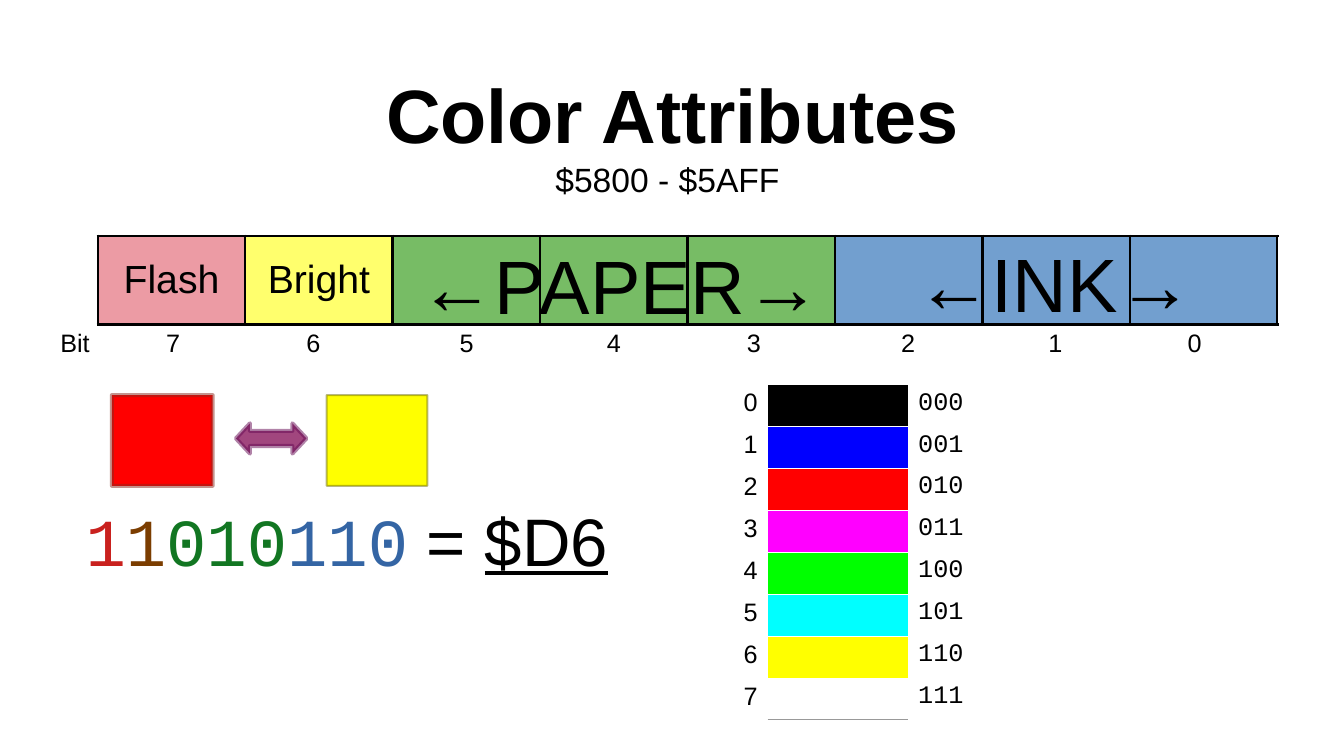
from dataclasses import dataclass

from lxml import etree
from pptx import Presentation
from pptx.dml.color import RGBColor
from pptx.enum import shapes, text
from pptx.oxml import ns
from pptx.util import Inches, Pt


@dataclass(frozen=True)
class Theme:
    """Colours, fonts and type sizes of the slide."""
    sans: str = "Arial"
    mono: str = "Courier New"
    black: str = "000000"
    white: str = "FFFFFF"
    gray: str = "999999"
    pink: str = "EC9BA4"
    lemon: str = "FFFF6D"
    leaf: str = "77BC65"
    sky: str = "729FCF"
    red: str = "FF0000"
    yellow: str = "FFFF00"
    plum: str = "A1467E"
    rust: str = "8D281E"
    olive: str = "706E0C"
    wine: str = "650953"
    bits: tuple = ("C9211E", "7B3D00", "127622", "3465A4")
    inks: tuple = ("000000", "0000FF", "FF0000", "FF00FF",
                   "00FF00", "00FFFF", "FFFF00", "FFFFFF")
    big: int = 54
    sum: int = 48
    flag: int = 28
    range: int = 24
    small: int = 18


T = Theme()
ALIGN = text.PP_ALIGN
MID = text.MSO_ANCHOR.MIDDLE
PLAIN = "{2D5ABB26-0587-4C30-8999-92F81FD0307C}"


def rgb(code):
    """Turn a hex code into a colour."""
    return RGBColor.from_string(code)


def box(at):
    """Turn left, top, width and height into lengths."""
    return [Inches(n) for n in at]


def write(para, words, size=T.small, font=T.sans, color=T.black,
          bold=False, under=False, align=None):
    """Add one formatted run to a paragraph."""
    if align is not None:
        para.alignment = align
    run = para.add_run()
    run.text = words
    face = run.font
    face.size, face.name = Pt(size), font
    face.bold, face.underline = bold, under
    face.color.rgb = rgb(color)


def label(slide, at, wrap=True):
    """Add a text box and return its paragraph."""
    frame = slide.shapes.add_textbox(*box(at)).text_frame
    frame.word_wrap = wrap
    return frame.paragraphs[0]


def title(slide, at, words):
    """Place and fill the title."""
    head = slide.shapes.title
    head.left, head.top, head.width, head.height = box(at)
    frame = head.text_frame
    frame.auto_size = text.MSO_AUTO_SIZE.NONE
    frame.vertical_anchor = MID
    frame.margin_left = frame.margin_right = 0
    frame.margin_top = frame.margin_bottom = 0
    write(frame.paragraphs[0], words, size=T.big, bold=True,
          align=ALIGN.CENTER)


def grid(slide, at, rows, cols):
    """Add a table without a style and with equal cells."""
    frame = slide.shapes.add_table(rows, cols, *box(at))
    for node in frame._element.iter(ns.qn("a:tableStyleId")):
        node.text = PLAIN
    table = frame.table
    table.first_row = table.horz_banding = False
    for col in table.columns:
        col.width = Inches(at[2] / cols)
    for row in table.rows:
        row.height = Inches(at[3] / rows)
    return table


def paint(cell, fill, color, width, sides="LRTB"):
    """Fill a cell and draw its borders."""
    props = cell._tc.get_or_add_tcPr()
    for side in sides:
        line = etree.SubElement(props, ns.qn("a:ln" + side), w=str(Pt(width)))
        solid = etree.SubElement(line, ns.qn("a:solidFill"))
        etree.SubElement(solid, ns.qn("a:srgbClr"), val=color)
    cell.fill.solid()
    cell.fill.fore_color.rgb = rgb(fill)


def stops(para, places):
    """Set centred tab stops."""
    tabs = etree.SubElement(para._p.get_or_add_pPr(), ns.qn("a:tabLst"))
    for place in places:
        etree.SubElement(tabs, ns.qn("a:tab"), pos=str(Inches(place)),
                         algn="ctr")


def block(slide, kind, at, fill, edge, width):
    """Add a filled shape with a half-clear outline."""
    shape = slide.shapes.add_shape(kind, *box(at))
    shape.shadow.inherit = False
    shape.fill.solid()
    shape.fill.fore_color.rgb = rgb(fill)
    shape.line.color.rgb = rgb(edge)
    shape.line.width = Pt(width)
    for node in shape.line._ln.iter(ns.qn("a:srgbClr")):
        etree.SubElement(node, ns.qn("a:alpha"), val="50000")
    return shape


def byte(slide):
    """Draw the attribute byte with its fields and bit numbers."""
    table = grid(slide, (0.97, 2.34, 11.7, 0.88), 1, 8)
    fills = [T.pink, T.lemon] + [T.leaf] * 3 + [T.sky] * 3
    for cell, fill in zip(table.iter_cells(), fills):
        paint(cell, fill, T.black, 2.04)
    for col, name in enumerate(("Flash", "Bright")):
        cell = table.cell(0, col)
        cell.vertical_anchor = MID
        write(cell.text_frame.paragraphs[0], name, size=T.flag,
              align=ALIGN.CENTER)
    write(label(slide, (4.06, 2.32, 4.2, 1.11)), "←PAPER→", size=T.big)
    write(label(slide, (8.99, 2.3, 3, 1.18)), "←INK→", size=T.big)
    para = label(slide, (0.5, 3.2, 12.2, 0.38))
    stops(para, (1.12, 2.51, 4.03, 5.49, 6.88, 8.41, 9.87, 11.25))
    write(para, "\t".join(["Bit", *"76543210"]))


def palette(slide):
    """List the eight colours with their numbers and bits."""
    table = grid(slide, (6.22, 3.81, 4.18, 3.33), 8, 3)
    for row, ink in enumerate(T.inks):
        num, tint, code = (table.cell(row, col) for col in range(3))
        write(num.text_frame.paragraphs[0], str(row), align=ALIGN.RIGHT)
        write(code.text_frame.paragraphs[0], f"{row:03b}", font=T.mono)
        if ink == T.white:
            paint(tint, ink, T.gray, 0.34, "B")
        else:
            paint(tint, ink, T.white, 0.06, "TB")


def sample(slide):
    """Show the example byte and its two flashing colours."""
    para = label(slide, (0.75, 4.9, 6.1, 1.7))
    for bits, color in zip(("1", "1", "010", "110"), T.bits):
        write(para, bits, size=T.sum, font=T.mono, color=color)
    write(para, " = ", size=T.sum)
    write(para, "$D6", size=T.sum, under=True)
    kind = shapes.MSO_SHAPE
    block(slide, kind.RECTANGLE, (1.11, 3.92, 1, 0.9), T.red, T.rust, 2.89)
    block(slide, kind.RECTANGLE, (3.24, 3.92, 1, 0.9), T.yellow, T.olive, 1.45)
    swap = block(slide, kind.LEFT_RIGHT_ARROW, (2.34, 4.2, 0.7, 0.3),
                 T.plum, T.wine, 2.89)
    swap.adjustments[0], swap.adjustments[1] = 0.5, 0.465


def main():
    """Build and save the slide."""
    deck = Presentation()
    deck.slide_width, deck.slide_height = Inches(13.33), Inches(7.5)
    slide = deck.slides.add_slide(deck.slide_layouts[5])
    title(slide, (0.92, 0.4, 11.5, 1.45), "Color Attributes")
    write(label(slide, (5.41, 1.53, 2.42, 0.47), wrap=False),
          "$5800 - $5AFF", size=T.range)
    byte(slide)
    palette(slide)
    sample(slide)
    deck.save("out.pptx")


if __name__ == "__main__":
    main()
